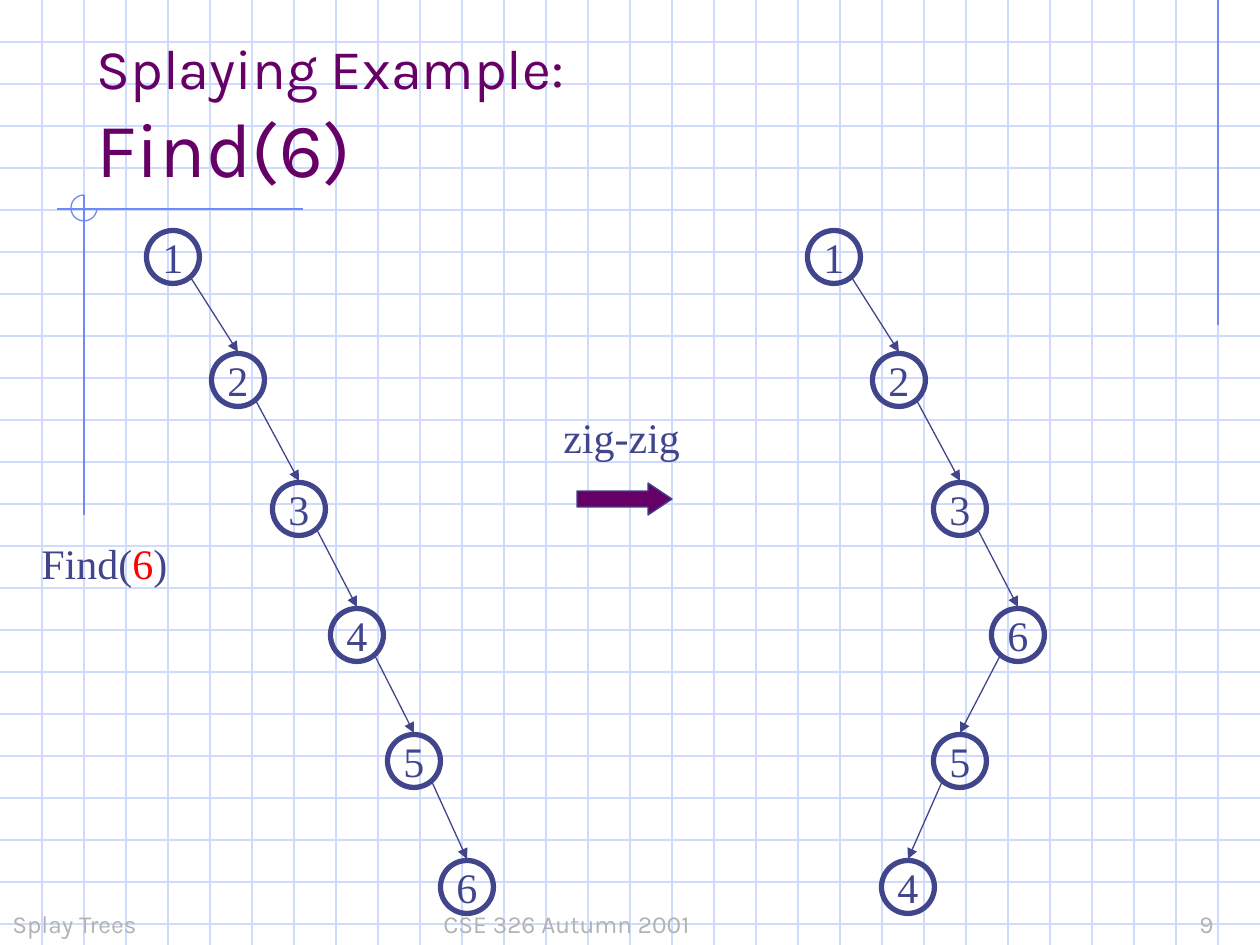
from pptx import Presentation, util as u
from pptx.dml.color import RGBColor
from pptx.enum import shapes, text
from pptx.oxml.ns import qn
from lxml import etree

PX = u.Inches(1) / 126
W, H = 1260, 945
GRID = 42
D = 53
C = {"grid": "CFDBFD", "rule": "6F89F7", "ink": "40458C",
     "title": "660066", "found": "FF0000", "footer": "B2B2B2"}
SERIF, SANS = "Times New Roman", "Karla"


def write(tf, words, size=24, font=SERIF, color="ink", align="LEFT", anchor="TOP", wrap=False):
    tf.word_wrap = wrap
    tf.vertical_anchor = getattr(text.MSO_ANCHOR, anchor)
    p = tf.paragraphs[0]
    p.alignment = getattr(text.PP_ALIGN, align)
    r = p.add_run()
    r.text = words
    r.font.size = u.Pt(size)
    r.font.name = font
    r.font.color.rgb = RGBColor.from_string(C[color])
    return p


def line(x1, y1, x2, y2, color, arrow=False):
    cx = s.shapes.add_connector(shapes.MSO_CONNECTOR.STRAIGHT,
                                *(round(v * PX) for v in (x1, y1, x2, y2)))
    cx.line.width = u.Pt(0.75)
    cx.line.color.rgb = RGBColor.from_string(C[color])
    if arrow:
        etree.SubElement(cx.line._get_or_add_ln(), qn("a:tailEnd"), type="triangle")
    etree.SubElement(cx.element.spPr, qn("a:effectLst"))


prs = Presentation()
prs.slide_width, prs.slide_height = round(W * PX), round(H * PX)
s = prs.slides.add_slide(prs.slide_layouts[5])

for y in range(GRID, H, GRID):
    line(0, y, W, y, "grid")
for x in range(GRID, W, GRID):
    line(x, 0, x, H, "grid")

line(1218, 0, 1218, 325, "rule")
line(303, 209, 57, 209, "rule")
line(84, 195, 84, 515, "rule")
sp = s.shapes.add_shape(shapes.MSO_SHAPE.ARC, *(round(v * PX) for v in (71, 195, 26, 26)))
sp.adjustments[0], sp.adjustments[1] = 0, 162
sp.shadow.inherit = False
sp.fill.background()
sp.line.width = u.Pt(0.75)
sp.line.color.rgb = RGBColor.from_string(C["rule"])

title = s.shapes.title
s.shapes.element.append(title.element)
title.left, title.top, title.width, title.height = (round(v * PX) for v in (84, 41, 1071, 158))
title.text_frame.auto_size = text.MSO_AUTO_SIZE.NONE
look = dict(font=SANS, color="title", anchor="BOTTOM", wrap=True)
p = write(title.text_frame, "Splaying Example:", size=32, **look)
p.add_line_break()
write(title.text_frame, "Find(6)", size=44, **look)

for words, x, w in (("Splay Trees", 0, 262), ("CSE 326 Autumn 2001\t9", 431, 829)):
    tb = s.shapes.add_textbox(*(round(v * PX) for v in (x, 882, w, 63)))
    p = write(tb.text_frame, words, size=14, font=SANS, color="footer", anchor="BOTTOM", wrap=True)
    tabs = etree.SubElement(p._p.get_or_add_pPr(), qn("a:tabLst"))
    etree.SubElement(tabs, qn("a:tab"), pos=str(round(756 * PX)), algn="l")

before = list(zip("123456", (173, 238, 299, 357, 414, 467)))
after = list(zip("123654", (834, 899, 960, 1018, 960, 908)))
levels = (257, 380, 509, 635, 761, 887)
for tree in (before, after):
    for i, ((key, x), y) in enumerate(zip(tree, levels)):
        sp = s.shapes.add_shape(shapes.MSO_SHAPE.OVAL,
                                *(round(v * PX) for v in (x - D / 2, y - D / 2, D, D)))
        sp.shadow.inherit = False
        sp.fill.background()
        sp.line.width = u.Pt(3)
        sp.line.color.rgb = RGBColor.from_string(C["ink"])
        write(sp.text_frame, key, align="CENTER", anchor="MIDDLE")
        if i:
            px, py = tree[i - 1][1], levels[i - 1]
            side = 18 if x > px else -18
            line(px + side, py + 21, x, y - 28, "ink", arrow=True)

sp = s.shapes.add_shape(shapes.MSO_SHAPE.RIGHT_ARROW, *(round(v * PX) for v in (577, 483, 95, 32)))
sp.adjustments[0], sp.adjustments[1] = 0.5, 0.75
sp.shadow.inherit = False
sp.fill.solid()
sp.fill.fore_color.rgb = RGBColor.from_string(C["title"])
sp.line.width = u.Pt(0.75)
sp.line.color.rgb = RGBColor.from_string(C["ink"])

labels = (((("Find(", "ink"), ("6", "found"), (")", "ink")), 29, 531, 151),
          ((("zig-zig", "ink"),), 551, 405, 144))
for runs, x, y, w in labels:
    tb = s.shapes.add_textbox(*(round(v * PX) for v in (x, y, w, 63)))
    tb.text_frame.auto_size = text.MSO_AUTO_SIZE.SHAPE_TO_FIT_TEXT
    for words, color in runs:
        write(tb.text_frame, words, color=color)

prs.save("out.pptx")
